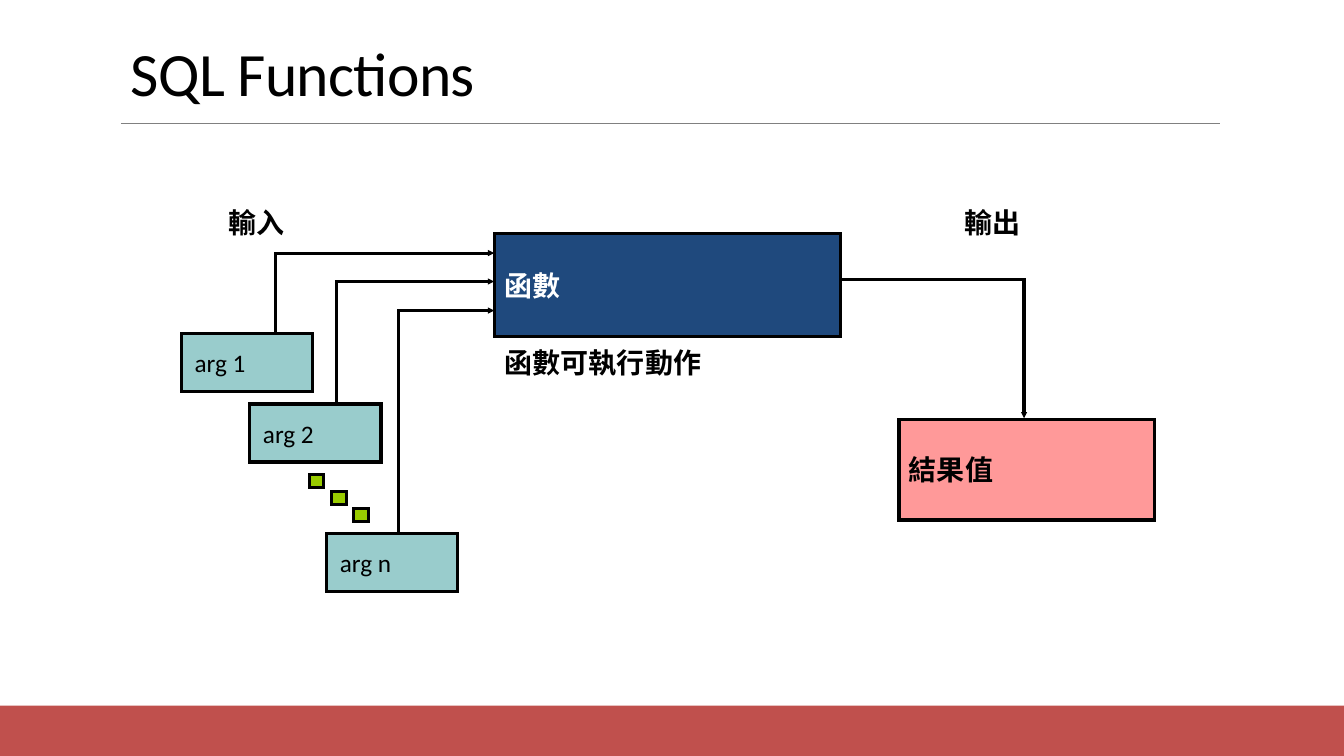
from lxml.etree import SubElement
from pptx import Presentation
from pptx.dml.color import RGBColor
from pptx.enum.shapes import MSO_CONNECTOR, MSO_SHAPE
from pptx.enum.text import MSO_ANCHOR, PP_ALIGN
from pptx.oxml.ns import qn
from pptx.util import Pt

COLORS = {
    "ink": "000000", "white": "FFFFFF", "rule": "808080", "footer": "C0504D",
    "function": "1F497D", "argument": "99CCCC", "dot": "99CC00", "result": "FF9999",
}
LATIN, CJK = "Calibri", "Noto Sans CJK SC"
OUTLINE = 2.25


def color(name):
    return RGBColor.from_string(COLORS[name])


def write(frame, text, size=20, font=CJK, ink="ink", bold=True, anchor=MSO_ANCHOR.TOP,
          inset=(7.2, 3.6), wrap=True, line_spacing=None, tracking=None):
    """Fill a text frame with one formatted line; inset is (horizontal, vertical)."""
    frame.word_wrap = wrap
    frame.vertical_anchor = anchor
    frame.margin_left = frame.margin_right = Pt(inset[0])
    frame.margin_top = frame.margin_bottom = Pt(inset[1])
    paragraph = frame.paragraphs[0]
    paragraph.alignment = PP_ALIGN.LEFT
    if line_spacing:
        paragraph.line_spacing = line_spacing
    run = paragraph.add_run()
    run.text = text
    run.font.size, run.font.bold, run.font.name = Pt(size), bold, font
    run.font.color.rgb = color(ink)
    properties = run.font._element
    SubElement(properties, qn("a:ea"), typeface=CJK)
    if tracking:
        properties.set("spc", str(tracking))


def add_label(slide, text, left, top, width, height, **text_format):
    label = slide.shapes.add_textbox(Pt(left), Pt(top), Pt(width), Pt(height))
    write(label.text_frame, text, **text_format)


def draw_outline(line, width=OUTLINE, ink="ink"):
    line.color.rgb = color(ink)
    line.width = Pt(width)
    SubElement(line._get_or_add_ln(), qn("a:miter"), lim="800000")


def add_box(shapes, left, top, width, height, fill, text=None, outlined=True, **text_format):
    box = shapes.add_shape(MSO_SHAPE.RECTANGLE, Pt(left), Pt(top), Pt(width), Pt(height))
    box.shadow.inherit = False
    box.fill.solid()
    box.fill.fore_color.rgb = color(fill)
    if outlined:
        draw_outline(box.line)
    else:
        box.line.fill.background()
    if text:
        write(box.text_frame, text, anchor=MSO_ANCHOR.MIDDLE, **text_format)


def add_bent_arrow(slide, *points):
    start, *others = [(Pt(x), Pt(y)) for x, y in points]
    builder = slide.shapes.build_freeform(*start)
    builder.add_line_segments(others, close=False)
    arrow = builder.convert_to_shape()
    arrow.shadow.inherit = False
    arrow.fill.background()
    draw_outline(arrow.line)
    SubElement(arrow.line._get_or_add_ln(), qn("a:tailEnd"), type="triangle", w="sm", len="sm")


def add_rule(slide, left, right, y):
    rule = slide.shapes.add_connector(MSO_CONNECTOR.STRAIGHT, Pt(left), Pt(y), Pt(right), Pt(y))
    draw_outline(rule.line, width=0.5, ink="rule")
    SubElement(rule._element.spPr, qn("a:effectLst"))


def add_arguments(slide, function_left):
    arguments = [  # text, left, top, arrow x, arrow y
        ("arg 1", 129.6, 238.3, 196.7, 180.8),
        ("arg 2", 178.4, 288.6, 240.4, 201.1),
        ("arg n", 233.3, 381.2, 284.5, 221.8),
    ]
    for text, left, top, arrow_x, arrow_y in arguments:
        add_bent_arrow(slide, (arrow_x, top), (arrow_x, arrow_y), (function_left - 0.5, arrow_y))
        add_box(slide.shapes, left, top, 93.8, 41.4, "argument", text,
                size=18, font=LATIN, bold=False, inset=(9.4, 5))

    dots = slide.shapes.add_group_shape().shapes
    for step in range(3):
        add_box(dots, 221 + 15.9 * step, 339 + 12.2 * step, 10.4, 9.4, "dot")


def main():
    presentation = Presentation()
    presentation.slide_width, presentation.slide_height = Pt(960), Pt(540)
    slide = presentation.slides.add_slide(presentation.slide_layouts[6])

    add_box(slide.shapes, 0, 504, 960, 36, "footer", outlined=False)
    add_rule(slide, 86.4, 871.2, 88.4)
    add_label(slide, "SQL Functions", 86.4, 22.3, 792, 59, size=44, font=LATIN, bold=False,
              anchor=MSO_ANCHOR.BOTTOM, line_spacing=0.85, tracking=-50)

    function_left = 353.5
    add_box(slide.shapes, function_left, 167, 247, 73.4, "function", "函數",
            font=LATIN, ink="white")
    add_label(slide, "函數可執行動作", function_left, 243.4, 274.3, 31.7)

    add_label(slide, "輸入", 156.4, 143.3, 54.7, 31.7, wrap=False)
    add_arguments(slide, function_left)

    add_label(slide, "輸出", 681.6, 143.3, 54.7, 31.7, wrap=False)
    add_bent_arrow(slide, (601, 199.4), (731.5, 199.4), (731.5, 298.8))
    add_box(slide.shapes, 642.2, 299.5, 182.5, 72, "result", "結果值")

    presentation.save("out.pptx")


if __name__ == "__main__":
    main()
